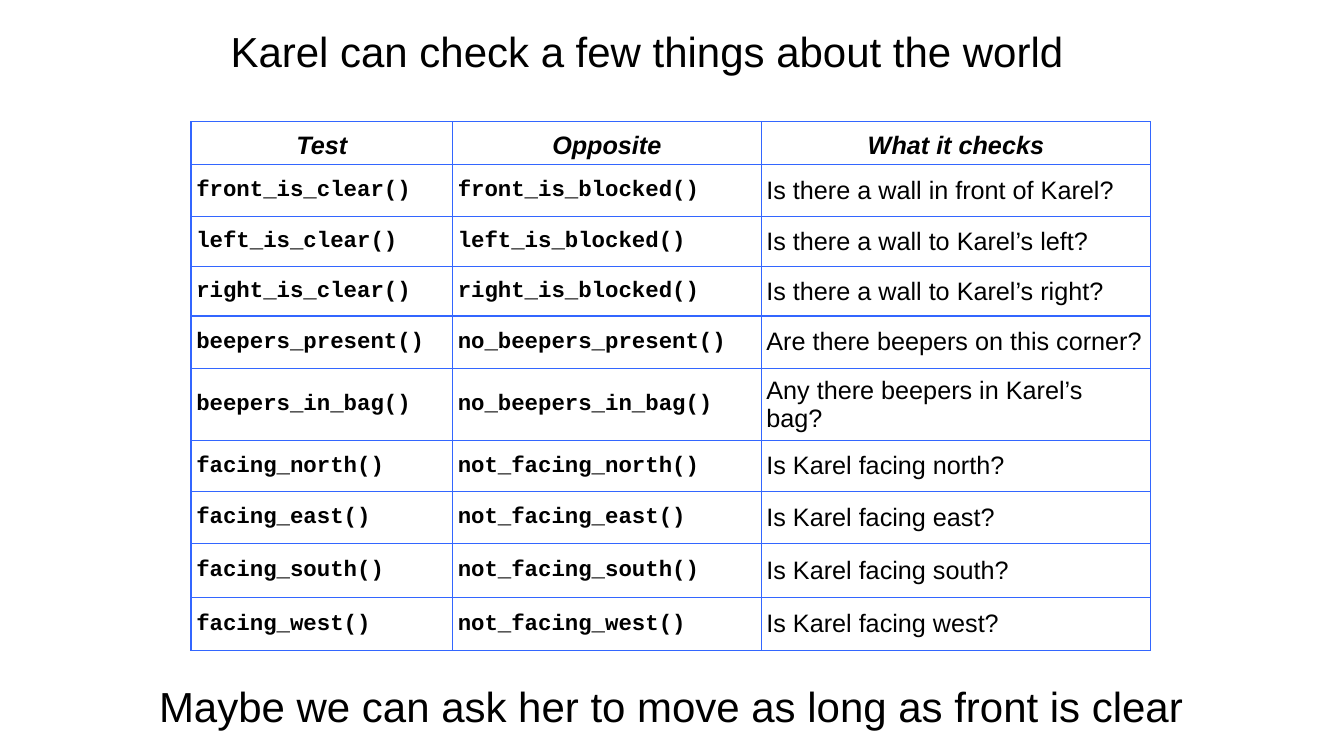
"""Builds a slide with a table of the conditions Karel can test."""
from typing import NamedTuple

from lxml import etree
from pptx import Presentation
from pptx.dml.color import RGBColor
from pptx.enum.text import MSO_ANCHOR, MSO_AUTO_SIZE, PP_ALIGN
from pptx.oxml.ns import qn
from pptx.slide import Slide
from pptx.table import _Cell
from pptx.text.text import TextFrame
from pptx.util import Emu, Pt

PX = 9525
BLACK = RGBColor(0x00, 0x00, 0x00)
BORDER_BLUE = RGBColor(0x33, 0x66, 0xFF)
CENTER, LEFT = PP_ALIGN.CENTER, PP_ALIGN.LEFT
BOTTOM, MIDDLE = MSO_ANCHOR.BOTTOM, MSO_ANCHOR.MIDDLE
FIT_SHAPE = MSO_AUTO_SIZE.SHAPE_TO_FIT_TEXT
SANS, MONO = "Arial", "Courier New"
CELL_INSET = 5
BORDER_WIDTH = Pt(1)


class Box(NamedTuple):
    """Position and size in px."""
    left: int
    top: int
    width: int
    height: int

    def emu(self) -> list[Emu]:
        """Return the four lengths in EMU."""
        return [Emu(length * PX) for length in self]


class Headline(NamedTuple):
    """A large centred line of text."""
    text: str
    box: Box


class Condition(NamedTuple):
    """One table row with its height in px."""
    test: str
    opposite: str
    question: str
    height: int


HEADLINES = [
    Headline("Karel can check a few things about the world", Box(176, 24, 881, 44)),
    Headline("Maybe we can ask her to move as long as front is clear", Box(75, 648, 1129, 44)),
]
HEADER = Condition("Test", "Opposite", "What it checks", 41)
CONDITIONS = [
    Condition("front_is_clear()", "front_is_blocked()", "Is there a wall in front of Karel?", 49),
    Condition("left_is_clear()", "left_is_blocked()", "Is there a wall to Karel’s left?", 48),
    Condition("right_is_clear()", "right_is_blocked()", "Is there a wall to Karel’s right?", 47),
    Condition("beepers_present()", "no_beepers_present()", "Are there beepers on this corner?", 50),
    Condition("beepers_in_bag()", "no_beepers_in_bag()", "Any there beepers in Karel’s bag?", 69),
    Condition("facing_north()", "not_facing_north()", "Is Karel facing north?", 48),
    Condition("facing_east()", "not_facing_east()", "Is Karel facing east?", 50),
    Condition("facing_south()", "not_facing_south()", "Is Karel facing south?", 51),
    Condition("facing_west()", "not_facing_west()", "Is Karel facing west?", 51),
]
COLUMN_WIDTHS = [249, 294, 371]
TABLE_LEFT, TABLE_TOP = 182, 116


def write_text(frame: TextFrame, text: str, *, size: int = 18, font: str = SANS,
               bold: bool = False, italic: bool = False,
               align: PP_ALIGN = LEFT, inset: int = 0) -> None:
    """Write one formatted paragraph into a text frame."""
    frame.word_wrap = True
    frame.margin_left = frame.margin_right = Emu(inset * PX)
    frame.margin_top = frame.margin_bottom = Emu(inset * PX)
    paragraph = frame.paragraphs[0]
    paragraph.alignment = align
    run = paragraph.add_run()
    run.text = text
    run.font.name = font
    run.font.size = Pt(size)
    run.font.bold = bold
    run.font.italic = italic
    run.font.color.rgb = BLACK


def add_headline(slide: Slide, headline: Headline) -> None:
    """Add a large centred text box."""
    shape = slide.shapes.add_textbox(*headline.box.emu())
    write_text(shape.text_frame, headline.text, size=30, align=CENTER)
    shape.text_frame.auto_size = FIT_SHAPE


def add_borders(cell: _Cell) -> None:
    """Draw a blue line on all four sides of a cell."""
    properties = cell._tc.get_or_add_tcPr()
    for position, side in enumerate(("a:lnL", "a:lnR", "a:lnT", "a:lnB")):
        line = etree.Element(qn(side), w=str(BORDER_WIDTH))
        fill = etree.SubElement(line, qn("a:solidFill"))
        etree.SubElement(fill, qn("a:srgbClr"), val=str(BORDER_BLUE))
        properties.insert(position, line)


def fill_cell(cell: _Cell, text: str, is_header: bool, is_code: bool) -> None:
    """Format one table cell as a heading, code or a question."""
    cell.fill.background()
    cell.vertical_anchor = BOTTOM if is_header else MIDDLE
    add_borders(cell)
    write_text(cell.text_frame, text, size=16 if is_code else 18,
               font=MONO if is_code else SANS, bold=is_header or is_code,
               italic=is_header, align=CENTER if is_header else LEFT)
    cell.margin_left = cell.margin_right = Emu(CELL_INSET * PX)
    cell.margin_top = cell.margin_bottom = Emu(CELL_INSET * PX)


def add_conditions_table(slide: Slide) -> None:
    """Add the table of tests, opposites and questions."""
    rows = [HEADER, *CONDITIONS]
    box = Box(TABLE_LEFT, TABLE_TOP, sum(COLUMN_WIDTHS), sum(row.height for row in rows))
    table = slide.shapes.add_table(len(rows), len(COLUMN_WIDTHS), *box.emu()).table
    table.first_row = table.horz_banding = False
    for column, width in zip(table.columns, COLUMN_WIDTHS):
        column.width = Emu(width * PX)
    for row_index, row in enumerate(rows):
        table.rows[row_index].height = Emu(row.height * PX)
        is_header = row_index == 0
        for column_index, text in enumerate((row.test, row.opposite, row.question)):
            is_code = not is_header and column_index < 2
            fill_cell(table.cell(row_index, column_index), text, is_header, is_code)


def main() -> None:
    """Build and save the presentation."""
    presentation = Presentation()
    presentation.slide_width = Emu(1280 * PX)
    presentation.slide_height = Emu(720 * PX)
    slide = presentation.slides.add_slide(presentation.slide_layouts[6])
    add_conditions_table(slide)
    for headline in HEADLINES:
        add_headline(slide, headline)
    presentation.save("out.pptx")


if __name__ == "__main__":
    main()
